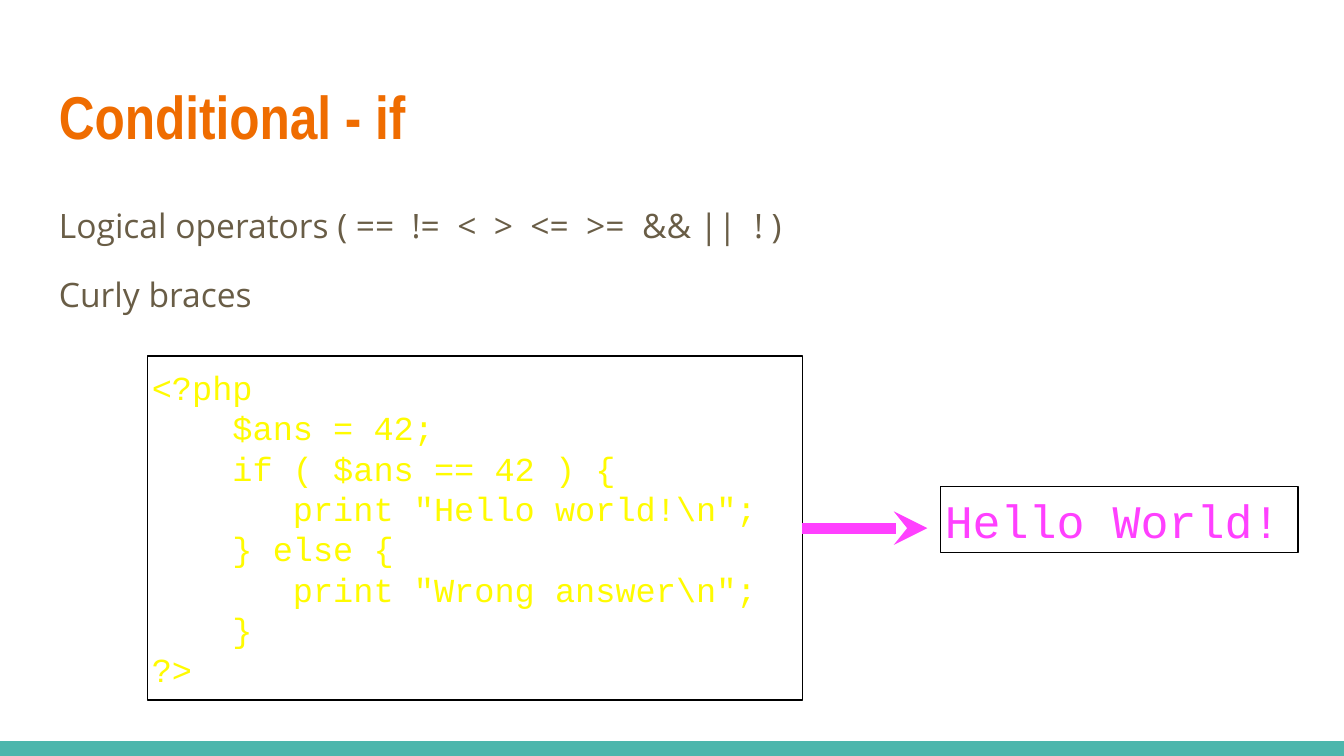
from lxml import etree
from pptx import Presentation
from pptx.dml.color import RGBColor
from pptx.enum.shapes import MSO_CONNECTOR as CONN, MSO_SHAPE as SHAPE
from pptx.enum.text import MSO_ANCHOR as ANCHOR, PP_ALIGN as ALIGN
from pptx.oxml.ns import qn
from pptx.util import Inches, Pt

ORANGE = RGBColor(0xEF, 0x6C, 0x00)
BROWN = RGBColor(0x69, 0x5D, 0x46)
YELLOW = RGBColor(0xFF, 0xFB, 0x00)
PINK = RGBColor(0xFF, 0x40, 0xFF)
TEAL = RGBColor(0x4D, 0xB6, 0xAC)
BLACK = RGBColor(0, 0, 0)

TITLE = ["Conditional - if"]
POINTS = [
    "Logical operators ( ==  !=  <  >  <=  >=  && ||  ! )",
    "Curly braces",
]
CODE = [
    "<?php",
    "    $ans = 42;",
    "    if ( $ans == 42 ) {",
    '       print "Hello world!\\n";',
    "    } else {",
    '       print "Wrong answer\\n";',
    "    }",
    "?>",
]
OUTPUT = ["Hello World!"]

WIDTH = 10
HEIGHT = WIDTH * 9 / 16
BAR_H = 0.11


def add_text(sp, lines, size, font, color, bold=False, inset=0.1,
             anchor=ANCHOR.TOP, spacing=None, gap=0):
    tf = sp.text_frame
    tf.word_wrap = True
    tf.vertical_anchor = anchor
    tf.margin_left = tf.margin_right = Inches(inset)
    tf.margin_top = tf.margin_bottom = Inches(inset)
    for i, line in enumerate(lines):
        p = tf.paragraphs[0] if i == 0 else tf.add_paragraph()
        p.alignment = ALIGN.LEFT
        if spacing:
            p.line_spacing = spacing
        if gap and i:
            p.space_before = p.space_after = Pt(gap)
        r = p.add_run()
        r.text = line
        r.font.name = font
        r.font.size = Pt(size)
        r.font.bold = bold
        r.font.color.rgb = color


def add_box(s, x, y, w, h, fill=None, line=None):
    sp = s.shapes.add_shape(SHAPE.RECTANGLE, Inches(x), Inches(y), Inches(w), Inches(h))
    sp.shadow.inherit = False
    if fill is None:
        sp.fill.background()
    else:
        sp.fill.solid()
        sp.fill.fore_color.rgb = fill
    if line is None:
        sp.line.fill.background()
    else:
        sp.line.color.rgb = line
        sp.line.width = Pt(0.75)
    return sp


def add_textbox(s, x, y, w, h):
    return s.shapes.add_textbox(Inches(x), Inches(y), Inches(w), Inches(h))


def add_arrow(s, source, x, y, color, width):
    cx = s.shapes.add_connector(CONN.STRAIGHT, 0, 0, Inches(x), Inches(y))
    cx.begin_connect(source, 3)
    cx.line.color.rgb = color
    cx.line.width = Pt(width)
    sp_pr = cx.element.spPr
    etree.SubElement(sp_pr.find(qn("a:ln")), qn("a:tailEnd"), type="stealth")
    etree.SubElement(sp_pr, qn("a:effectLst"))


prs = Presentation()
prs.slide_width, prs.slide_height = Inches(WIDTH), Inches(HEIGHT)
s = prs.slides.add_slide(prs.slide_layouts[6])

add_box(s, 0, HEIGHT - BAR_H, WIDTH, BAR_H, fill=TEAL)
add_text(add_textbox(s, 0.34, 0.49, 9.32, 0.77), TITLE, 32.4, "Arial Narrow", ORANGE,
         bold=True)
add_text(add_textbox(s, 0.34, 1.38, 9.32, 1.51), POINTS, 18, "Open Sans", BROWN,
         spacing=1.15, gap=12)

code_box = add_box(s, 1.1, 2.65, 4.87, 2.56, line=BLACK)
add_text(code_box, CODE, 18, "Courier New", YELLOW, inset=0.03, anchor=ANCHOR.MIDDLE)
output_box = add_box(s, 7, 3.62, 2.66, 0.49, line=BLACK)
add_text(output_box, OUTPUT, 25, "Courier New", PINK, inset=0.03, anchor=ANCHOR.MIDDLE)
add_arrow(s, code_box, 6.9, 3.93, PINK, 6)

prs.save("out.pptx")
